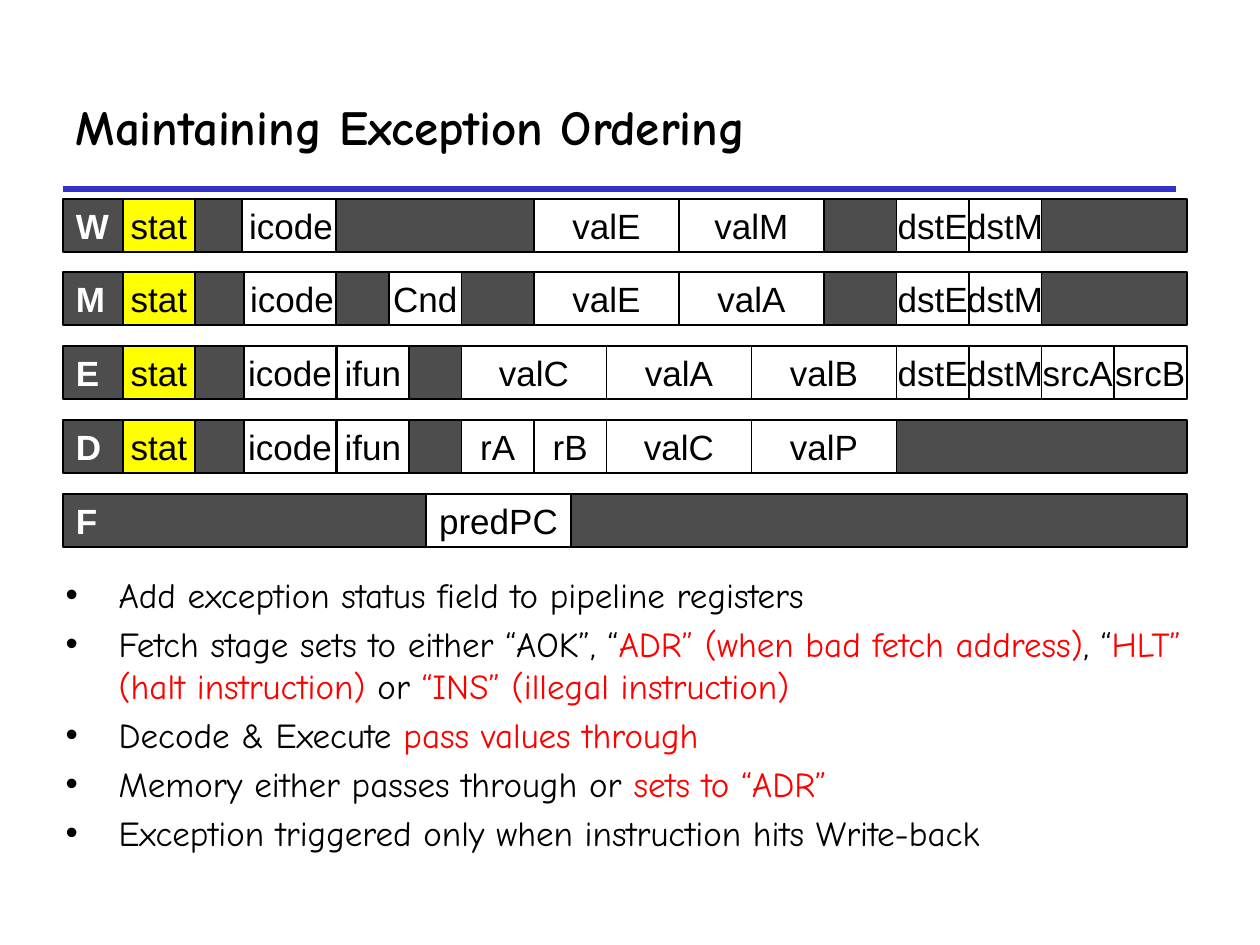
from dataclasses import dataclass

from lxml.etree import SubElement
from pptx import Presentation
from pptx.dml.color import RGBColor
from pptx.enum.shapes import MSO_CONNECTOR, MSO_SHAPE
from pptx.enum.text import MSO_ANCHOR, MSO_AUTO_SIZE, PP_ALIGN
from pptx.oxml.ns import qn
from pptx.util import Emu, Pt


@dataclass(frozen=True)
class Theme:
    black: RGBColor = RGBColor(0x00, 0x00, 0x00)
    white: RGBColor = RGBColor(0xFF, 0xFF, 0xFF)
    gray: RGBColor = RGBColor(0x4D, 0x4D, 0x4D)
    yellow: RGBColor = RGBColor(0xFF, 0xFF, 0x00)
    red: RGBColor = RGBColor(0xFF, 0x00, 0x00)
    blue: RGBColor = RGBColor(0x33, 0x33, 0xCC)
    text_font: str = "Comic Neue"
    field_font: str = "Arial"
    title_size: Pt = Pt(28)
    body_size: Pt = Pt(20)
    field_size: Pt = Pt(20)
    bullet_gap: Pt = Pt(4)
    border: Pt = Pt(0.75)
    rule: Pt = Pt(3)


theme = Theme()


def px(length):
    """Turn pixels, 126 to the inch, into EMU."""
    return Emu(round(length * 914400 / 126))


def add_box(left, top, width, text, fill, color, bold=False,
            align=PP_ALIGN.CENTER, inset=13):
    shape = slide.shapes.add_shape(
        MSO_SHAPE.RECTANGLE, px(left), px(top), px(width), px(53))
    shape.shadow.inherit = False
    shape.fill.solid()
    shape.fill.fore_color.rgb = fill
    shape.line.color.rgb = theme.black
    shape.line.width = theme.border
    frame = shape.text_frame
    frame.text = text
    frame.word_wrap = False
    frame.vertical_anchor = MSO_ANCHOR.MIDDLE
    frame.margin_left = px(inset)
    frame.margin_right = px(13)
    frame.margin_top = frame.margin_bottom = px(6)
    paragraph = frame.paragraphs[0]
    paragraph.alignment = align
    font = paragraph.runs[0].font
    font.name = theme.field_font
    font.size = theme.field_size
    font.bold = bold
    font.color.rgb = color


presentation = Presentation()
presentation.slide_width = px(1260)
presentation.slide_height = px(945)
slide = presentation.slides.add_slide(presentation.slide_layouts[1])

# Title
title = slide.shapes.title
title.left, title.top, title.width, title.height = px(63), px(63), px(1113), px(126)
title.text_frame.text = "Maintaining Exception Ordering"
title.text_frame.vertical_anchor = MSO_ANCHOR.MIDDLE
title.text_frame.auto_size = MSO_AUTO_SIZE.NONE
title_paragraph = title.text_frame.paragraphs[0]
title_paragraph.alignment = PP_ALIGN.LEFT
title_font = title_paragraph.runs[0].font
title_font.name = theme.text_font
title_font.size = theme.title_size
title_font.bold = True
title_font.color.rgb = theme.black

# Rule under the title
rule = slide.shapes.add_connector(
    MSO_CONNECTOR.STRAIGHT, px(63), px(189), px(1176), px(189))
rule.line.color.rgb = theme.blue
rule.line.width = theme.rule
SubElement(rule.element.spPr, qn("a:effectLst"))

# Bullets: each one is a list of (text, color) runs
bullets = [
    [("Add exception status field to pipeline registers", theme.black)],
    [("Fetch stage sets to either “AOK”, “", theme.black),
     ("ADR” (when bad fetch address)", theme.red),
     (", “", theme.black),
     ("HLT” (halt instruction)", theme.red),
     (" or ", theme.black),
     ("“INS” (illegal instruction)", theme.red)],
    [("Decode & Execute ", theme.black), ("pass values through", theme.red)],
    [("Memory either passes through or ", theme.black),
     ("sets to “ADR”", theme.red)],
    [("Exception triggered only when instruction hits Write-back", theme.black)],
]
body = slide.placeholders[1]
body.left, body.top, body.width, body.height = px(53), px(567), px(1207), px(353)
body_frame = body.text_frame
body_frame.auto_size = MSO_AUTO_SIZE.NONE
for index, runs in enumerate(bullets):
    paragraph = body_frame.add_paragraph() if index else body_frame.paragraphs[0]
    paragraph.space_before = theme.bullet_gap if index else Pt(0)
    properties = paragraph._p.get_or_add_pPr()
    properties.set("marL", str(px(53)))
    properties.set("indent", str(-px(53)))
    SubElement(properties, qn("a:buChar"), char="•")
    for text, color in runs:
        run = paragraph.add_run()
        run.text = text
        run.font.name = theme.text_font
        run.font.size = theme.body_size
        run.font.color.rgb = color

# Pipeline registers: name, fields before the grid as (name, left, width, inset),
# then fields on the grid as (name, first slot, slots)
GRID_LEFT, SLOT_WIDTH = 389, 72.5
icode, ifun = ("icode", 244, 92, 13), ("ifun", 337, 72, 13)
destinations = [("dstE", 7, 1), ("dstM", 8, 1)]
registers = [
    ("W", [("icode", 242, 94, 17)],
     [("valE", 2, 2), ("valM", 4, 2)] + destinations),
    ("M", [("icode", 244, 92, 17)],
     [("Cnd", 0, 1), ("valE", 2, 2), ("valA", 4, 2)] + destinations),
    ("E", [icode, ifun],
     [("valC", 1, 2), ("valA", 3, 2), ("valB", 5, 2)] + destinations
     + [("srcA", 9, 1), ("srcB", 10, 1)]),
    ("D", [icode, ifun],
     [("rA", 1, 1), ("rB", 2, 1), ("valC", 3, 2), ("valP", 5, 2)]),
    ("F", [("predPC", 426, 145, 13)], []),
]
for row, (register, code_fields, grid_fields) in enumerate(registers):
    top = 199 + row * 295 // 4
    add_box(63, top, 1124, register, theme.gray, theme.white, bold=True,
            align=PP_ALIGN.LEFT)
    if register != "F":
        add_box(123, top, 72, "stat", theme.yellow, theme.black)
    for name, left, width, inset in code_fields:
        add_box(left, top, width, name, theme.white, theme.black, inset=inset)
    for name, slot, slots in grid_fields:
        add_box(GRID_LEFT + slot * SLOT_WIDTH, top, slots * SLOT_WIDTH, name,
                theme.white, theme.black)

presentation.save("out.pptx")
